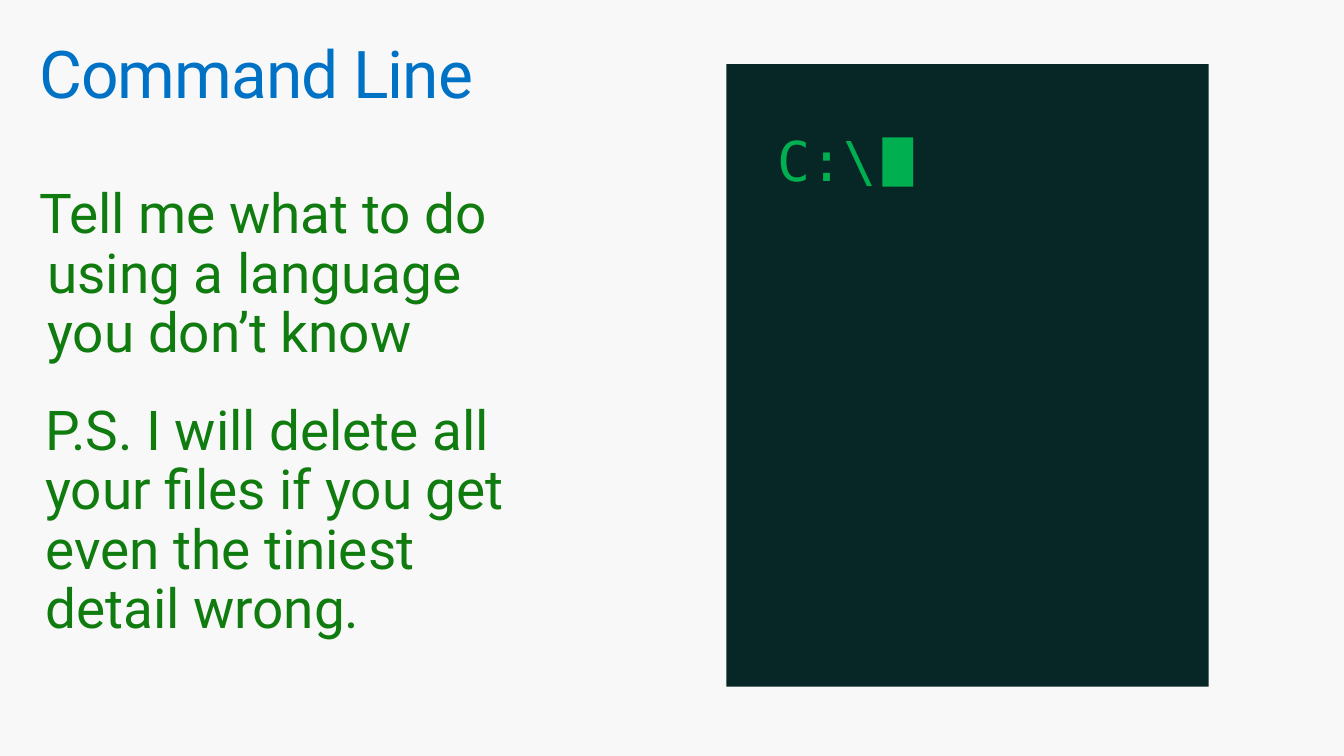
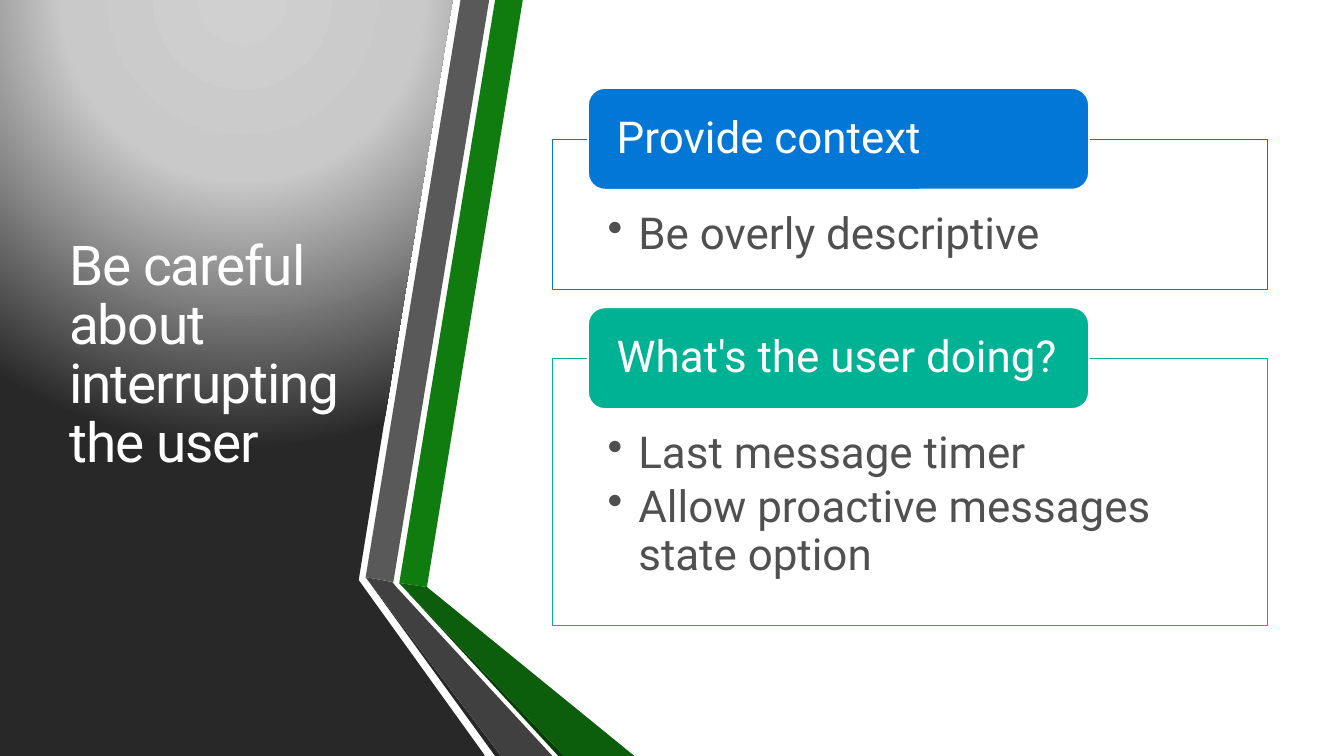
from lxml import etree
from pptx import Presentation
from pptx import util as u
from pptx.dml.color import RGBColor
from pptx.enum import shapes, text
from pptx.oxml import parse_xml
from pptx.oxml.ns import nsdecls, qn

PX = 9144
WIDTH, HEIGHT = 1360, 765
FONT, MONO = "Roboto", "DejaVu Sans Mono"
WHITE, PAPER, GREY = "FFFFFF", "F8F8F8", "505050"
GREEN, TERMINAL, PROMPT = "107C10", "072726", "00B050"
TITLE_BLUE, BLUE, TEAL = "0072C6", "0377D6", "00B294"
RECT = shapes.MSO_SHAPE.RECTANGLE
ROUNDED = shapes.MSO_SHAPE.ROUNDED_RECTANGLE
TOP, MIDDLE = text.MSO_ANCHOR.TOP, text.MSO_ANCHOR.MIDDLE

PANEL = [(0, 0), (360, 0), (458, 0), (363, 587), (491, 765), (0, 765)]
PANEL_STOPS = [(0, "D0D0D0"), (40, "C9C9C9"), (100, "282828")]
BANDS = [
    (GREEN, [(404, 590), (432, 594), (529, 0), (501, 0)]),
    ("595959", [(495, 0), (466, 0), (370, 584), (398, 589)]),
    ("262626", [(370, 584), (501, 765), (507, 765)]),
    ("083E08", [(404, 590), (565, 765), (571, 765)]),
    ("0C5D0C", [(404, 590), (571, 765), (642, 765), (432, 594)]),
    ("404040", [(559, 765), (402, 595), (397, 589), (370, 584), (507, 765)]),
]


def px(n):
    return u.Emu(n * PX)


def rgb(color):
    return RGBColor.from_string(color)


def add_slide(prs, background):
    s = prs.slides.add_slide(prs.slide_layouts[5])
    s.background.fill.solid()
    s.background.fill.fore_color.rgb = rgb(background)
    return s


def add_bullet(p):
    pPr = p._p.get_or_add_pPr()
    pPr.set("marL", str(px(31)))
    pPr.set("indent", str(px(-31)))
    etree.SubElement(pPr, qn("a:buChar")).set("char", "•")


def write(sp, *lines, size=40, color=GREEN, font=FONT, anchor=TOP,
          margins=(10, 10, 10, 10), bullets=False, after=0, spc=None):
    tf = sp.text_frame
    tf.auto_size = text.MSO_AUTO_SIZE.NONE
    tf.word_wrap = True
    tf.vertical_anchor = anchor
    tf.margin_left, tf.margin_top, tf.margin_right, tf.margin_bottom = map(px, margins)
    for i, line in enumerate(lines):
        p = tf.add_paragraph() if i else tf.paragraphs[0]
        if bullets:
            add_bullet(p)
        p.alignment = text.PP_ALIGN.LEFT
        p.line_spacing = 0.9
        p.space_before = u.Pt(0)
        p.space_after = u.Pt(after)
        r = p.add_run()
        r.text = line
        r.font.name = font
        r.font.size = u.Pt(size)
        r.font.color.rgb = rgb(color)
        if spc is not None:
            r._r.get_or_add_rPr().set("spc", str(spc))


def add_title(s, words, box, **fmt):
    sp = s.shapes.title
    sp.left, sp.top, sp.width, sp.height = map(px, box)
    s.shapes._spTree.append(sp._element)
    write(sp, words, spc=-70, **fmt)


def add_text(s, words, box, **fmt):
    write(s.shapes.add_textbox(*map(px, box)), words, **fmt)


def paint(sp, fill, line=None, weight=1):
    sp.shadow.inherit = False
    sp.fill.solid()
    sp.fill.fore_color.rgb = rgb(fill)
    if line:
        sp.line.color.rgb = rgb(line)
        sp.line.width = u.Pt(weight)
    else:
        sp.line.fill.background()


def add_box(s, box, fill, line=None, weight=1, kind=RECT):
    sp = s.shapes.add_shape(kind, *map(px, box))
    paint(sp, fill, line, weight)
    return sp


def add_polygon(s, points, fill):
    builder = s.shapes.build_freeform(*points[0], scale=PX)
    builder.add_line_segments(points[1:], close=True)
    sp = builder.convert_to_shape()
    paint(sp, fill)
    return sp


def set_radial_fill(sp, stops):
    gs = "".join(f'<a:gs pos="{pos * 1000}"><a:srgbClr val="{color}"/></a:gs>'
                 for pos, color in stops)
    grad = parse_xml(
        f'<a:gradFill {nsdecls("a")} rotWithShape="1"><a:gsLst>{gs}</a:gsLst>'
        '<a:path path="circle"><a:fillToRect l="50000" t="-80000" r="50000" b="180000"/>'
        '</a:path></a:gradFill>')
    spPr = sp._element.spPr
    spPr.replace(spPr.find(qn("a:solidFill")), grad)


def add_card(s, top, height, color, heading, *points):
    body = add_box(s, (559, top, 724, height), WHITE, color, 0.85)
    write(body, *points, size=32, color=GREY, margins=(56, 73, 56, 25),
          bullets=True, after=4.8)
    tab = add_box(s, (595, top - 52, 507, 103), color, WHITE, 1.35, ROUNDED)
    write(tab, heading, size=32, color=WHITE, anchor=MIDDLE, margins=(24, 5, 24, 5))


def command_line_slide(prs):
    s = add_slide(prs, PAPER)
    add_title(s, "Command Line", (30, 32, 1300, 100), size=48, color=TITLE_BLUE)
    add_text(s, "Tell me what to do", (30, 178, 752, 81))
    wide = (16, 10, 16, 10)
    add_text(s, "using a language you don’t know", (32, 239, 524, 141), margins=wide)
    add_text(s, "P.S. I will delete all your files if you get even the tiniest detail wrong.",
             (30, 398, 524, 263), margins=wide)
    screen = add_box(s, (735, 65, 488, 630), TERMINAL)
    write(screen, "C:\\", color=PROMPT, font=MONO, margins=(52, 71, 20, 16))
    add_box(s, (893, 139, 31, 50), PROMPT)


def interrupting_slide(prs):
    s = add_slide(prs, WHITE)
    set_radial_fill(add_polygon(s, PANEL, WHITE), PANEL_STOPS)
    for color, points in BANDS:
        add_polygon(s, points, color)
    add_title(s, "Be careful about interrupting the user", (60, 76, 310, 569),
              color=WHITE, anchor=MIDDLE, margins=(10, 5, 10, 5))
    add_card(s, 141, 152, BLUE, "Provide context", "Be overly descriptive")
    add_card(s, 363, 270, TEAL, "What's the user doing?",
             "Last message timer", "Allow proactive messages state option")


def main():
    prs = Presentation()
    prs.slide_width, prs.slide_height = px(WIDTH), px(HEIGHT)
    command_line_slide(prs)
    interrupting_slide(prs)
    prs.save("out.pptx")


if __name__ == "__main__":
    main()
